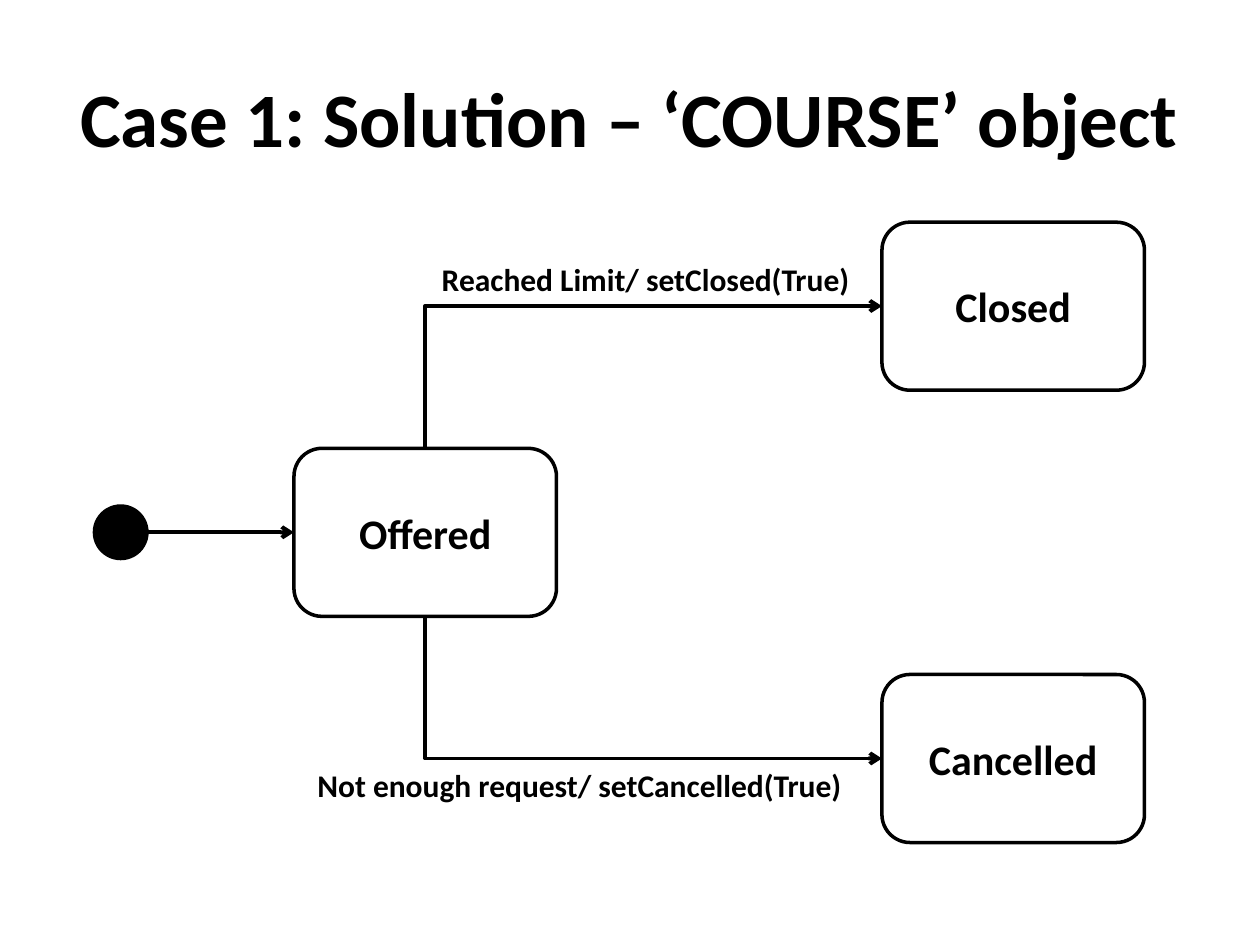
from pptx import Presentation
from pptx.dml.color import RGBColor
from pptx.enum.shapes import MSO_CONNECTOR, MSO_SHAPE
from pptx.enum.text import MSO_ANCHOR, MSO_AUTO_SIZE, PP_ALIGN
from pptx.oxml.ns import qn
from pptx.util import Inches, Pt
from lxml.etree import SubElement

BLACK = "000000"
UNIT = Inches(1) / 12  # grid of 120 columns by 90 rows


def grid(*cells):
    return [round(n * UNIT) for n in cells]


def write(sp, text, size, anchor=MSO_ANCHOR.MIDDLE, fit=MSO_AUTO_SIZE.NONE):
    """Put one centred bold line of text in a shape."""
    tf = sp.text_frame
    for name, value in {"word_wrap": True, "vertical_anchor": anchor, "auto_size": fit}.items():
        setattr(tf, name, value)
    p = tf.paragraphs[0]
    p.alignment = PP_ALIGN.CENTER
    r = p.add_run()
    r.text = text
    for name, value in {"name": "Calibri", "size": Pt(size), "bold": True}.items():
        setattr(r.font, name, value)
    r.font.color.rgb = RGBColor.from_string(BLACK)


prs = Presentation()
prs.slide_width, prs.slide_height = grid(120, 90)
s = prs.slides.add_slide(prs.slide_layouts[5])

title = s.shapes.title
title.left, title.top, title.width, title.height = grid(6, 3.6, 108, 15)
write(title, "Case 1: Solution – ‘COURSE’ object", 44)

# States: a middle row, with one row the same step above and below it
mid, step = 50.7, 21.54
box_w, box_h = 25, 16
left_col, right_col = 28, 84
states = {}
for name, col, row in [
    ("Offered", left_col, mid),
    ("Cancelled", right_col, mid + step),
    ("Closed", right_col, mid - step),
]:
    sp = s.shapes.add_shape(MSO_SHAPE.ROUNDED_RECTANGLE, *grid(col, row - box_h / 2, box_w, box_h))
    sp.fill.background()
    write(sp, name, 24)
    states[name] = sp

dot = 5
start = s.shapes.add_shape(MSO_SHAPE.OVAL, *grid(9, mid - dot / 2, dot, dot))
start.fill.solid()
start.fill.fore_color.rgb = RGBColor.from_string(BLACK)

for sp in [*states.values(), start]:
    sp.shadow.inherit = False
    sp.line.color.rgb = RGBColor.from_string(BLACK)
    sp.line.width = Pt(2)

# Transitions: a straight entry and two elbows turning once
entry = s.shapes.add_connector(MSO_CONNECTOR.STRAIGHT, *grid(9 + dot, mid, left_col, mid))
entry.end_connect(states["Offered"], 1)
arrows = [entry]

elbow_x = left_col + box_w / 2
run, rise = right_col - elbow_x, step - box_h / 2
for target, side, direction, turn in [
    ("Closed", 0, -1, {"rot": "5400000", "flipH": "1", "flipV": "1"}),
    ("Cancelled", 2, 1, {"rot": "16200000", "flipH": "1"}),
]:
    c = s.shapes.add_connector(MSO_CONNECTOR.ELBOW, 0, 0, 0, 0)
    c.begin_connect(states["Offered"], side)
    c.end_connect(states[target], 1)
    # The frame is stored unturned, about the centre of the drawn elbow
    centre_x = elbow_x + run / 2
    centre_y = mid + direction * (box_h / 2 + rise / 2)
    xfrm = c._element.spPr.find(qn("a:xfrm"))
    for name in ("flipH", "flipV"):
        xfrm.attrib.pop(name, None)
    c.left, c.top, c.width, c.height = grid(centre_x - rise / 2, centre_y - run / 2, rise, run)
    for name, value in turn.items():
        xfrm.set(name, value)
    c._element.spPr.find(qn("a:prstGeom")).set("prst", "bentConnector2")
    arrows.append(c)

for c in arrows:
    c.line.color.rgb = RGBColor.from_string(BLACK)
    c.line.width = Pt(2.25)
    SubElement(c.line._get_or_add_ln(), qn("a:tailEnd"), type="arrow")
    SubElement(c._element.spPr, qn("a:effectLst"))

for text, col, row, width in [
    ("Reached Limit/ setClosed(True)", elbow_x, 24.2, 42),
    ("Not enough request/ setCancelled(True)", left_col, 72.4, 54.4),
]:
    tb = s.shapes.add_textbox(*grid(col, row, width, 4.8))
    write(tb, text, 18, MSO_ANCHOR.TOP, MSO_AUTO_SIZE.SHAPE_TO_FIT_TEXT)

prs.save("out.pptx")
